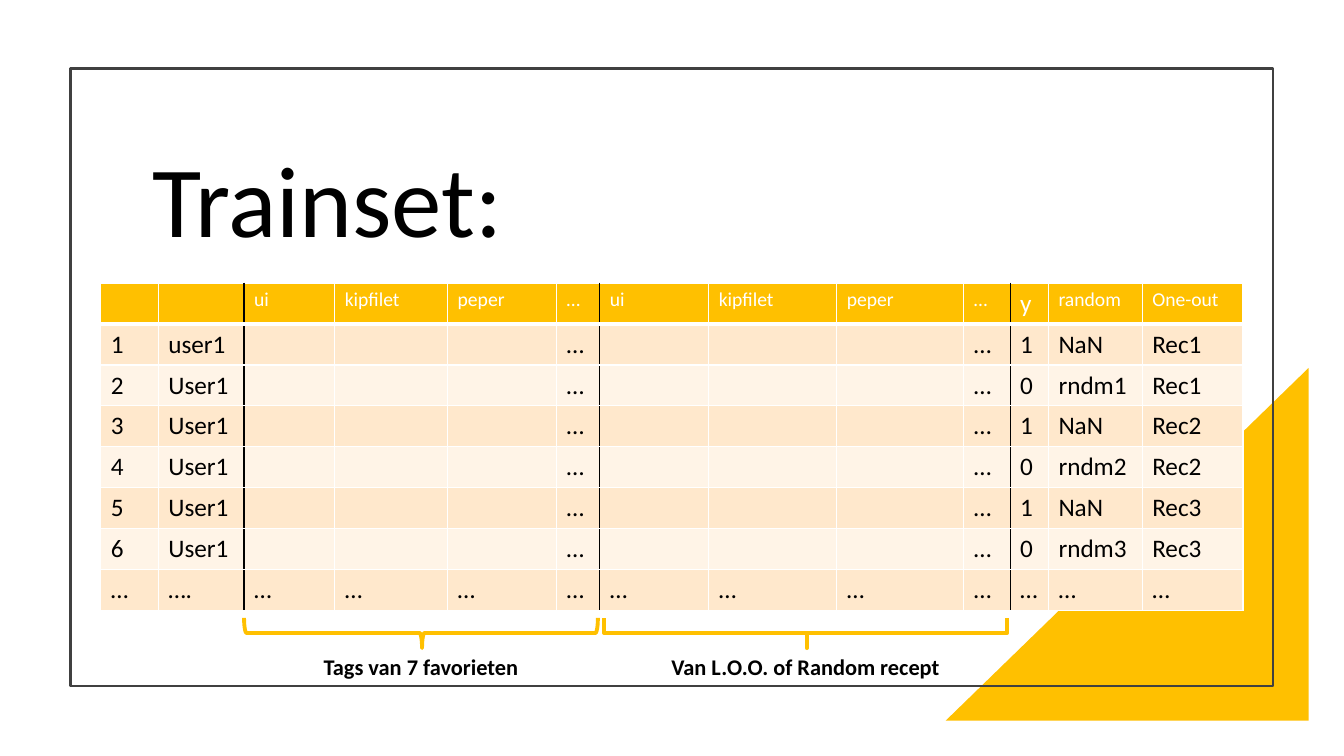
from dataclasses import dataclass

from lxml import etree
from pptx import Presentation
from pptx.dml.color import RGBColor
from pptx.enum.shapes import MSO_SHAPE
from pptx.enum.text import MSO_ANCHOR, MSO_AUTO_SIZE, PP_ALIGN
from pptx.oxml.ns import qn
from pptx.util import Inches, Pt

TRIANGLE, RECTANGLE, BRACE = MSO_SHAPE.RIGHT_TRIANGLE, MSO_SHAPE.RECTANGLE, MSO_SHAPE.RIGHT_BRACE
MIDDLE = MSO_ANCHOR.MIDDLE
NO_AUTOFIT, FIT_SHAPE = MSO_AUTO_SIZE.NONE, MSO_AUTO_SIZE.SHAPE_TO_FIT_TEXT
LEFT, CENTER = PP_ALIGN.LEFT, PP_ALIGN.CENTER
TITLE_ONLY = 5


@dataclass(frozen=True)
class Theme:
    font: str = "Calibri"
    accent: str = "FFC000"
    band_dark: str = "FFE8CC"
    band_light: str = "FFF4E7"
    frame: str = "404040"
    ink: str = "000000"
    paper: str = "FFFFFF"
    title_size: int = 72
    body_size: int = 18
    label_size: int = 16
    header_size: int = 14


THEME = Theme()

COLUMN_WIDTHS = [0.57, 0.85, 0.9, 1.12, 1.08, 0.43, 1.08, 1.27, 1.26, 0.46, 0.38, 0.93, 1]
GROUP_STARTS = {2, 6, 10}
TAGS = ["ui", "kipfilet", "peper", "…"]
EMPTY_TAGS = ["", "", "", "…"]
HEADER = ["", "", *TAGS, *TAGS, "y", "random", "One-out"]
SAMPLES = [
    ("1", "user1", "1", "NaN", "Rec1"),
    ("2", "User1", "0", "rndm1", "Rec1"),
    ("3", "User1", "1", "NaN", "Rec2"),
    ("4", "User1", "0", "rndm2", "Rec2"),
    ("5", "User1", "1", "NaN", "Rec3"),
    ("6", "User1", "0", "rndm3", "Rec3"),
]
ROWS = [
    HEADER,
    *([number, user, *EMPTY_TAGS, *EMPTY_TAGS, *outcome] for number, user, *outcome in SAMPLES),
    ["…", "….", *["…"] * 11],
]

BRACES = [
    ((2.42, 6.13, 3.51, 0.3), 0.083, "Tags van 7 favorieten", 2.16),
    ((5.99, 6.13, 4, 0.3), 0, "Van L.O.O. of Random recept", 2.93),
]


def rgb(value):
    return RGBColor.from_string(value)


def apply_format(target, values):
    for name, value in values.items():
        setattr(target, name, value)


def write(paragraph, text, size, color, bold=False):
    run = paragraph.add_run()
    run.text = text
    apply_format(run.font, {"name": THEME.font, "size": Pt(size), "bold": bold})
    run.font.color.rgb = rgb(color)


def add_outline(slide, preset, box, color, width):
    outline = slide.shapes.add_shape(preset, *map(Inches, box))
    outline.shadow.inherit = False
    outline.fill.background()
    outline.line.color.rgb = rgb(color)
    outline.line.width = Pt(width)
    return outline


def add_backdrop(slide, corner_box, frame_box):
    corner = slide.shapes.add_shape(TRIANGLE, *map(Inches, corner_box))
    corner.shadow.inherit = False
    corner.fill.solid()
    corner.fill.fore_color.rgb = rgb(THEME.accent)
    corner.line.fill.background()
    corner._element.spPr.xfrm.set("flipH", "1")
    add_outline(slide, RECTANGLE, frame_box, THEME.frame, 1.5)


def add_title(slide, box, text):
    title = slide.shapes.title
    apply_format(title, dict(zip(("left", "top", "width", "height"), map(Inches, box))))
    apply_format(title.text_frame, {
        "vertical_anchor": MIDDLE, "word_wrap": True, "auto_size": NO_AUTOFIT,
    })
    heading = title.text_frame.paragraphs[0]
    apply_format(heading, {"alignment": LEFT, "line_spacing": 0.9})
    write(heading, text, THEME.title_size, THEME.ink)


def set_border(cell, side, color, width):
    properties = cell._tc.get_or_add_tcPr()
    border = etree.SubElement(properties, qn(f"a:ln{side}"), w=str(Pt(width)))
    fill = etree.SubElement(border, qn("a:solidFill"))
    etree.SubElement(fill, qn("a:srgbClr"), val=color)


def format_cell(cell, row, column, text):
    is_header = row == 0
    band = THEME.band_dark if row % 2 else THEME.band_light
    borders = {
        "L": (THEME.ink if column in GROUP_STARTS else THEME.paper, 1),
        "R": (THEME.ink if column + 1 in GROUP_STARTS else THEME.paper, 1),
        "T": (THEME.paper, 3 if row == 1 else 1),
        "B": (THEME.paper, 3 if is_header else 1),
    }
    for side, (color, width) in borders.items():
        set_border(cell, side, color, width)
    cell.fill.solid()
    cell.fill.fore_color.rgb = rgb(THEME.accent if is_header else band)
    if text:
        size = THEME.header_size if is_header and text != "y" else THEME.body_size
        write(cell.text_frame.paragraphs[0], text, size, THEME.paper if is_header else THEME.ink)


def add_trainset_table(slide, box):
    frame = slide.shapes.add_table(len(ROWS), len(COLUMN_WIDTHS), *map(Inches, box))
    table = frame.table
    for column, width in zip(table.columns, COLUMN_WIDTHS):
        column.width = Inches(width)
    for row, texts in enumerate(ROWS):
        table.rows[row].height = Inches(box[3] / len(ROWS))
        for column, text in enumerate(texts):
            format_cell(table.cell(row, column), row, column, text)


def add_braced_label(slide, box, curve, text, label_width):
    left, top, span, depth = box
    center_x, center_y = left + span / 2, top + depth / 2
    upright_box = (center_x - depth / 2, center_y - span / 2, depth, span)
    brace = add_outline(slide, BRACE, upright_box, THEME.accent, 2.75)
    brace.rotation = 90
    brace.adjustments[0] = curve
    brace.adjustments[1] = 0.497

    label_box = (center_x - label_width / 2, top + depth, label_width, 0.37)
    label = slide.shapes.add_textbox(*map(Inches, label_box))
    apply_format(label.text_frame, {"word_wrap": False, "auto_size": FIT_SHAPE})
    caption = label.text_frame.paragraphs[0]
    caption.alignment = CENTER
    write(caption, text, THEME.label_size, THEME.ink, bold=True)


def add_trainset_slide(deck):
    slide = deck.slides.add_slide(deck.slide_layouts[TITLE_ONLY])
    add_backdrop(slide, (9.38, 3.65, 3.6, 3.5), (0.7, 0.68, 11.93, 6.13))
    add_title(slide, (1.41, 1.15, 8.83, 1.77), "Trainset:")
    add_trainset_table(slide, (1, 2.81, sum(COLUMN_WIDTHS), 3.24))
    for brace in BRACES:
        add_braced_label(slide, *brace)


def main():
    deck = Presentation()
    apply_format(deck, {"slide_width": Inches(13.33), "slide_height": Inches(7.5)})
    add_trainset_slide(deck)
    deck.save("out.pptx")


if __name__ == "__main__":
    main()
